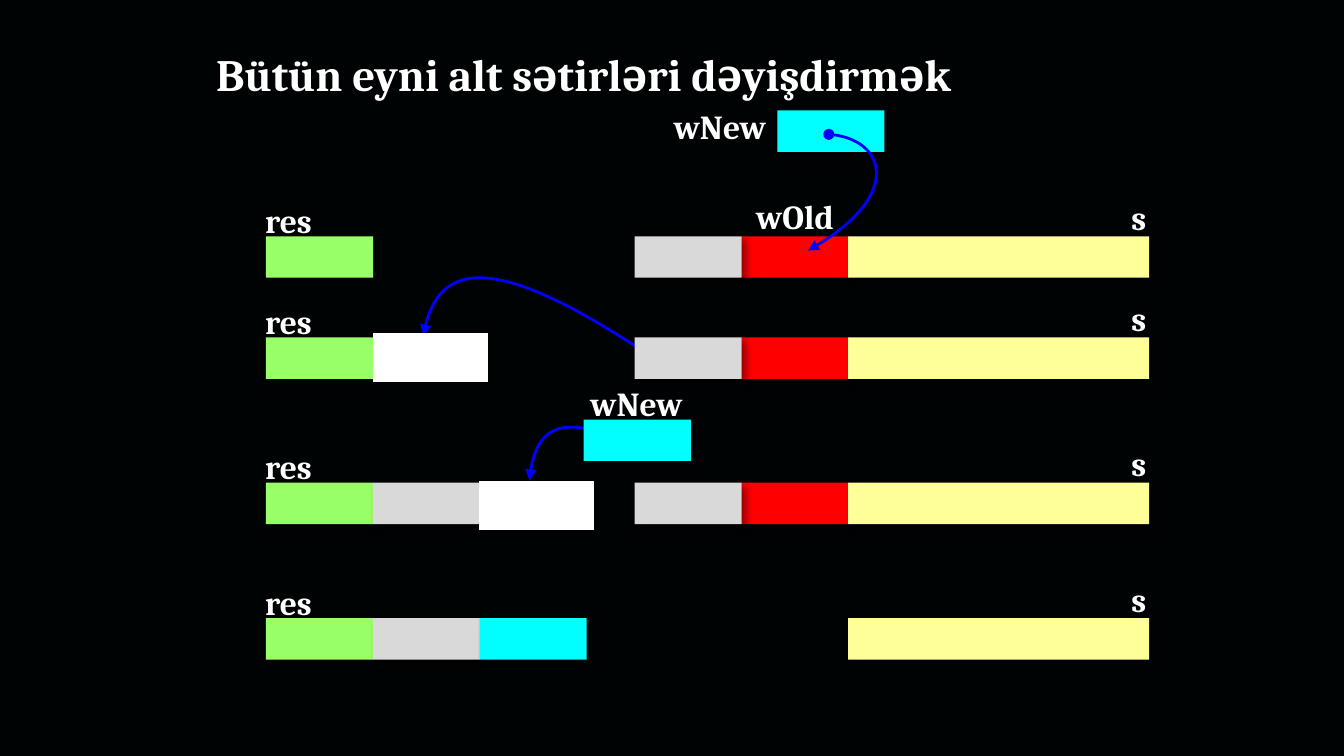
from dataclasses import dataclass

from lxml.etree import SubElement
from pptx import Presentation
from pptx.dml.color import RGBColor
from pptx.enum.shapes import MSO_SHAPE
from pptx.enum.text import MSO_ANCHOR, PP_ALIGN
from pptx.oxml.ns import qn
from pptx.util import Pt


@dataclass(frozen=True)
class Theme:
    font: str = "Cambria"
    title_size: int = 24
    label_size: int = 18
    background: str = "000304"
    text: str = "FFFFFF"
    result: str = "99FF66"
    before: str = "D9D9D9"
    old: str = "FF0000"
    rest: str = "FFFF99"
    new: str = "00FFFE"
    arrow: str = "0000FF"
    cover: str = "FFFFFF"


THEME = Theme()

# Shared measures, in points
CELL_W, CELL_H, REST_W = 57.4, 22.2, 161.2
RES_X, SOURCE_X, STEP = 142.5, 340, 57.2
REST_X = SOURCE_X + 2 * STEP


def rgb(value):
    return RGBColor.from_string(value)


def set_attrs(obj, values):
    for name, value in values.items():
        setattr(obj, name, value)


def add_text(parent, text, x, y, w, h, size=THEME.label_size,
             align=PP_ALIGN.LEFT, inset=0):
    s = parent.shapes.add_textbox(Pt(x), Pt(y), Pt(w), Pt(h))
    tf = s.text_frame
    sides = ("left", "right", "top", "bottom")
    set_attrs(tf, {f"margin_{side}": Pt(inset) for side in sides})
    set_attrs(tf, {"word_wrap": True, "vertical_anchor": MSO_ANCHOR.TOP})
    p = tf.paragraphs[0]
    p.alignment = align
    r = p.add_run()
    r.text = text
    set_attrs(r.font, {"name": THEME.font, "size": Pt(size), "bold": True})
    r.font.color.rgb = rgb(THEME.text)


def add_box(parent, color, x, y, w=CELL_W, h=CELL_H, kind=MSO_SHAPE.RECTANGLE):
    s = parent.shapes.add_shape(kind, Pt(x), Pt(y), Pt(w), Pt(h))
    s.shadow.inherit = False
    s.fill.solid()
    s.fill.fore_color.rgb = rgb(color)
    s.line.fill.background()
    return s


def add_segment(parent, color, x, y, w=CELL_W):
    """A string segment with a soft shadow to the lower right."""
    s = add_box(parent, color, x, y, w)
    effects = s._element.spPr.find(qn("a:effectLst"))
    shadow = SubElement(effects, qn("a:outerShdw"), blurRad=str(Pt(4)),
                        dist=str(Pt(3)), dir="2700000", rotWithShape="0")
    tint = SubElement(shadow, qn("a:srgbClr"), val="000000")
    SubElement(tint, qn("a:alpha"), val="40000")


def bezier(points, t):
    weights = ((1 - t) ** 3, 3 * t * (1 - t) ** 2, 3 * t * t * (1 - t), t ** 3)
    return tuple(Pt(sum(k * p[axis] for k, p in zip(weights, points)))
                 for axis in (0, 1))


def add_curve(parent, *points, steps=40):
    """A cubic curve with a dot at its start and an arrowhead at its end."""
    track = [bezier(points, i / steps) for i in range(steps + 1)]
    builder = parent.shapes.build_freeform(*track[0], scale=1.0)
    builder.add_line_segments(track[1:], close=False)
    s = builder.convert_to_shape()
    s.shadow.inherit = False
    s.fill.background()
    s.line.color.rgb = rgb(THEME.arrow)
    s.line.width = Pt(1.5)
    ln = s.line._get_or_add_ln()
    SubElement(ln, qn("a:headEnd"), type="oval")
    SubElement(ln, qn("a:tailEnd"), type="triangle")


def add_row(slide, y, result, source):
    """One step: the result so far on the left, the remaining s on the right."""
    row = slide.shapes.add_group_shape()
    for i, color in enumerate(result):
        add_segment(row, color, RES_X + i * STEP, y)
    # Right to left, so each shadow falls on its right neighbour
    for i, color in reversed(list(enumerate(source))):
        add_segment(row, color, SOURCE_X + i * STEP, y)
    add_segment(row, THEME.rest, REST_X, y, REST_W)
    add_text(row, "res", 142, y - 19.6, 35, 20)
    add_text(row, "s", 596, y - 21.2, 18, 20, align=PP_ALIGN.RIGHT)
    return row


def main():
    prs = Presentation()
    set_attrs(prs, {"slide_width": Pt(720), "slide_height": Pt(405)})
    slide = prs.slides.add_slide(prs.slide_layouts[6])
    slide.background.fill.solid()
    slide.background.fill.fore_color.rgb = rgb(THEME.background)

    # Title
    add_text(slide, "Bütün eyni alt sətirləri dəyişdirmək", 108.7, 18, 508, 28,
             size=THEME.title_size, inset=7.2)

    # Arrows behind the rows
    add_curve(slide, (319.7, 231), (298, 225), (286, 231), (283.7, 257.5))
    add_curve(slide, (348.5, 190.8), (267.8, 136.8), (234, 136.8), (226.8, 180))

    # The four steps
    source = (THEME.before, THEME.old)
    first = add_row(slide, 126.6, (THEME.result,), source)
    add_row(slide, 180.8, (THEME.result,), source)
    third = add_row(slide, 258.6, (THEME.result, THEME.before), source)
    add_row(slide, 331.2, (THEME.result, THEME.before, THEME.new), ())

    # Old and new words
    add_text(first, "wOld", 397.2, 105.2, CELL_W, 20, align=PP_ALIGN.CENTER)
    add_segment(first, THEME.new, 416.4, 59.2)
    add_text(first, "wNew", 356.2, 57, 59, 26.6, align=PP_ALIGN.CENTER)
    add_curve(first, (444, 72), (474.5, 74.2), (485.3, 105.1), (432.7, 134.3))
    add_segment(third, THEME.new, 312.7, 224.8)
    add_text(third, "wNew", 312.3, 205.2, CELL_W, 20, align=PP_ALIGN.CENTER)

    # White places for the next segment
    for x, y in ((200, 178.5), (256.6, 257.8)):
        add_box(slide, THEME.cover, x, y, 61.4, 26,
                MSO_SHAPE.FLOWCHART_PROCESS)

    prs.save("out.pptx")


if __name__ == "__main__":
    main()
